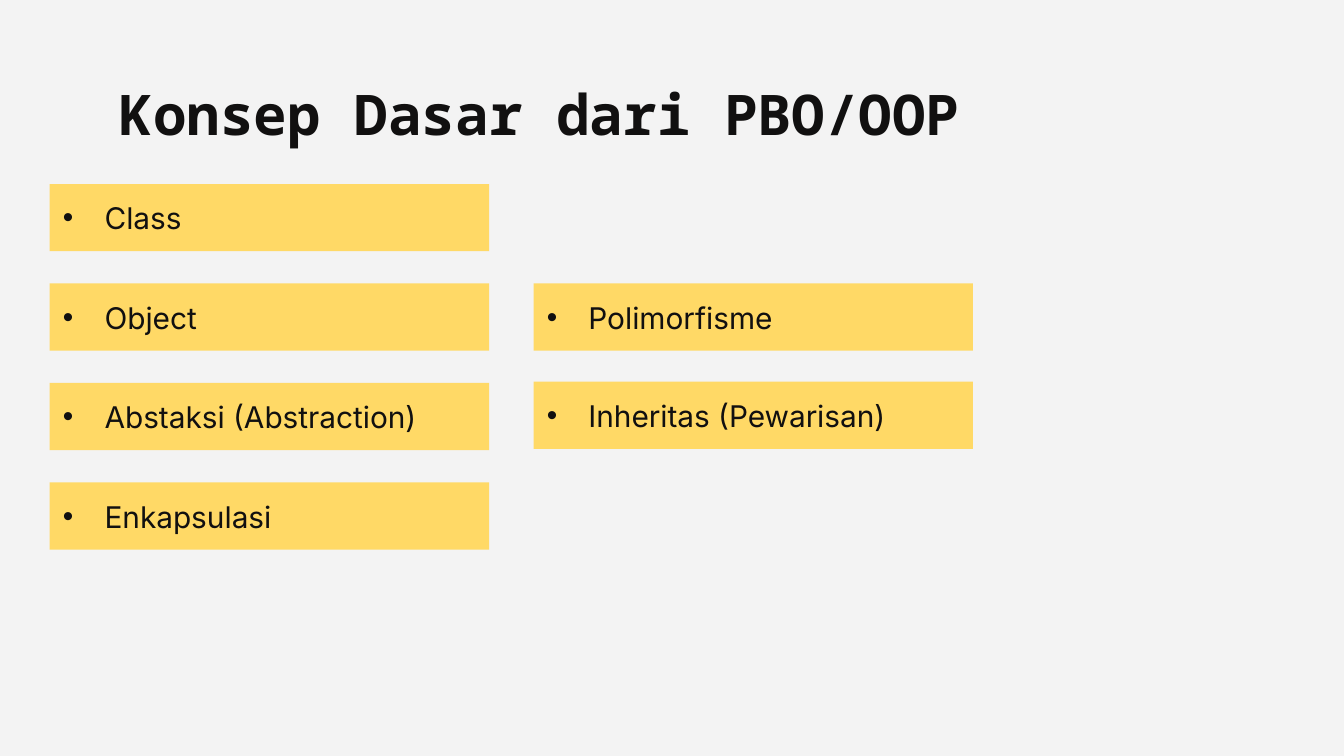
import pptx
import pptx.dml.color
import pptx.enum.shapes
import pptx.enum.text
import pptx.oxml
import pptx.oxml.ns
import pptx.util
from pptx.util import Inches

TITLE = "Konsep Dasar dari PBO/OOP"
# Each column: left edge, first top, row step, concepts from top to bottom
COLUMNS = [
    (0.37, 1.37, 0.74, ["Class", "Object", "Abstaksi (Abstraction)", "Enkapsulasi"]),
    (3.97, 2.11, 0.73, ["Polimorfisme", "Inheritas (Pewarisan)"]),
]
COLORS = {"background": "F3F3F3", "bar": "FFD966", "text": "111010"}
SLIDE_WIDTH = 10
BAR_WIDTH, BAR_HEIGHT = 3.27, 0.5
BULLET_INDENT = 0.31


def rgb(name):
    return pptx.dml.color.RGBColor.from_string(COLORS[name])


def write_text(shape, text, font_name, size, anchor, bold=False):
    frame = shape.text_frame
    frame.word_wrap = True
    frame.auto_size = pptx.enum.text.MSO_AUTO_SIZE.NONE
    frame.vertical_anchor = anchor
    frame.margin_left = frame.margin_right = Inches(0.1)
    frame.margin_top = frame.margin_bottom = Inches(0.1)
    frame.text = text
    paragraph = frame.paragraphs[0]
    paragraph.alignment = pptx.enum.text.PP_ALIGN.LEFT
    paragraph.font.name = font_name
    paragraph.font.size = pptx.util.Pt(size)
    paragraph.font.bold = bold
    paragraph.font.color.rgb = rgb("text")
    return paragraph


def add_bullet(paragraph):
    properties = paragraph._p.get_or_add_pPr()
    indent = Inches(BULLET_INDENT)
    properties.set("marL", str(indent))
    properties.set("indent", str(-indent))
    namespace = pptx.oxml.ns.nsdecls("a")
    for xml in (
        f'<a:buClr {namespace}><a:srgbClr val="{COLORS["text"]}"/></a:buClr>',
        f'<a:buFont {namespace} typeface="Arial"/>',
        f'<a:buChar {namespace} char="•"/>',
    ):
        properties.insert_element_before(
            pptx.oxml.parse_xml(xml), "a:tabLst", "a:defRPr", "a:extLst")


def add_concept(slide, text, left, top):
    bar = slide.shapes.add_shape(
        pptx.enum.shapes.MSO_SHAPE.RECTANGLE,
        Inches(left), Inches(top), Inches(BAR_WIDTH), Inches(BAR_HEIGHT))
    bar.shadow.inherit = False
    bar.fill.solid()
    bar.fill.fore_color.rgb = rgb("bar")
    bar.line.fill.background()
    add_bullet(write_text(bar, text, "Inter", 16, pptx.enum.text.MSO_ANCHOR.MIDDLE))


def main():
    presentation = pptx.Presentation()
    presentation.slide_width = Inches(SLIDE_WIDTH)
    presentation.slide_height = Inches(SLIDE_WIDTH * 9 / 16)
    slide = presentation.slides.add_slide(presentation.slide_layouts[5])
    slide.background.fill.solid()
    slide.background.fill.fore_color.rgb = rgb("background")

    title = slide.shapes.title
    title.left, title.top = Inches(0.79), Inches(0.49)
    title.width, title.height = Inches(8.43), Inches(0.63)
    write_text(title, TITLE, "Noto Sans Mono", 30,
               pptx.enum.text.MSO_ANCHOR.TOP, bold=True)

    for left, first_top, step, concepts in COLUMNS:
        for row, concept in enumerate(concepts):
            add_concept(slide, concept, left, first_top + row * step)

    presentation.save("out.pptx")


if __name__ == "__main__":
    main()
